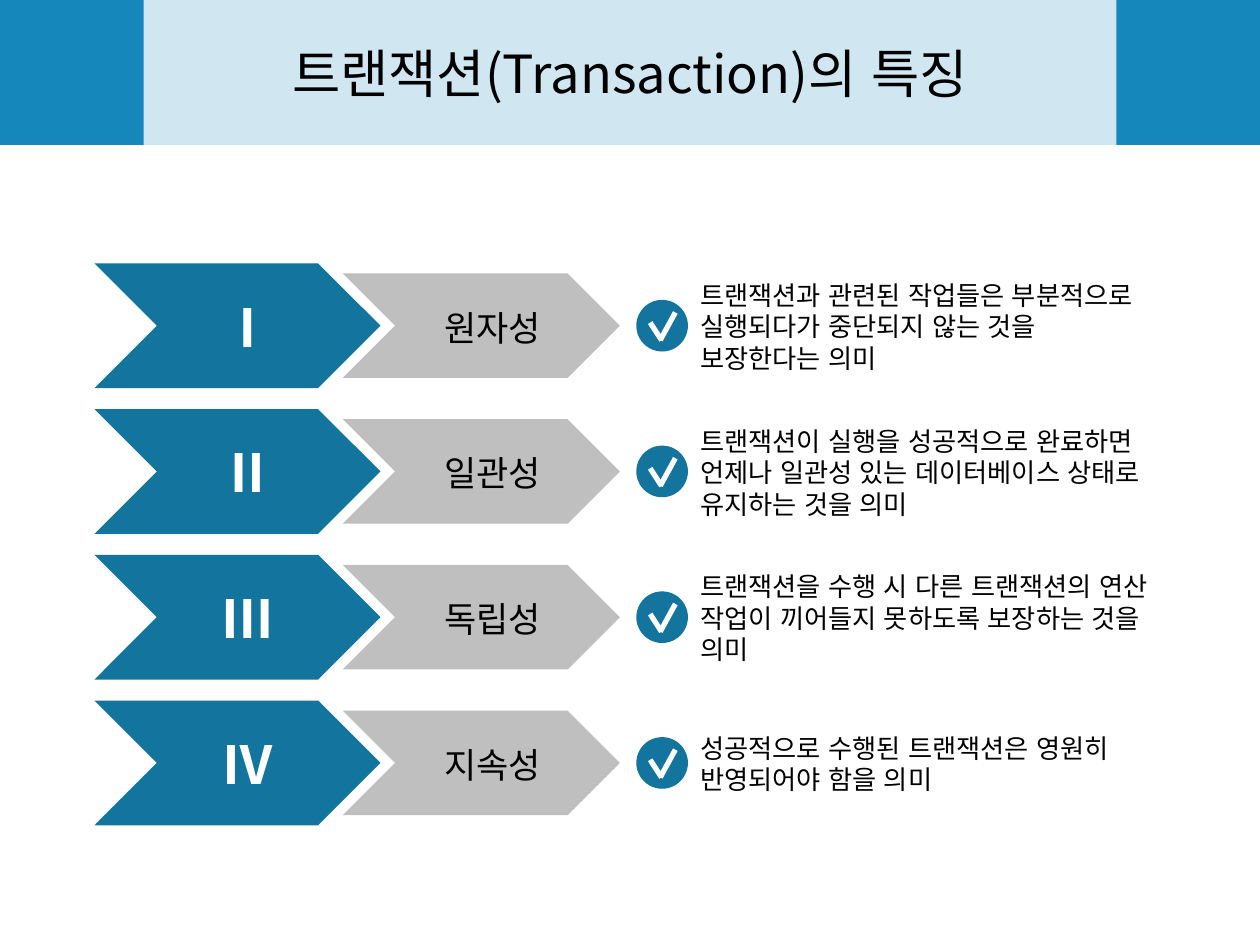
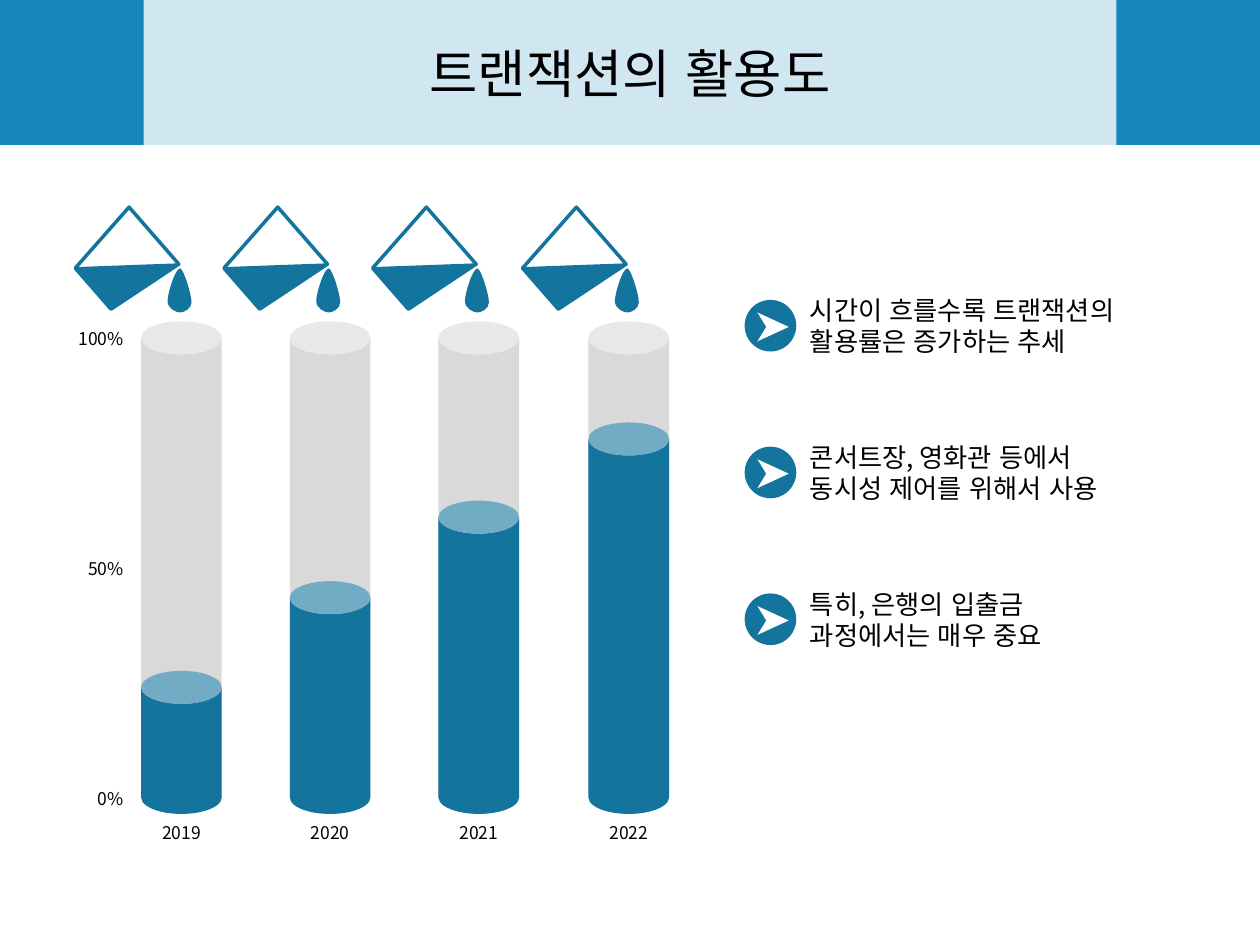
"""Builds two slides on the traits and the growing use of database transactions."""
from lxml import etree
from pptx import Presentation
from pptx.dml.color import RGBColor
from pptx.enum.lang import MSO_LANGUAGE_ID
from pptx.enum.shapes import MSO_CONNECTOR, MSO_SHAPE
from pptx.enum.text import MSO_ANCHOR, MSO_AUTO_SIZE, PP_ALIGN
from pptx.oxml.ns import qn
from pptx.util import Inches, Pt

RECT, OVAL, CAN = MSO_SHAPE.RECTANGLE, MSO_SHAPE.OVAL, MSO_SHAPE.CAN
CHEVRON, TRIANGLE, TRAPEZOID = MSO_SHAPE.CHEVRON, MSO_SHAPE.ISOSCELES_TRIANGLE, MSO_SHAPE.TRAPEZOID
STRAIGHT = MSO_CONNECTOR.STRAIGHT
LEFT, CENTER, RIGHT = PP_ALIGN.LEFT, PP_ALIGN.CENTER, PP_ALIGN.RIGHT
TOP, MIDDLE = MSO_ANCHOR.TOP, MSO_ANCHOR.MIDDLE
GROW = MSO_AUTO_SIZE.SHAPE_TO_FIT_TEXT
KOREAN = MSO_LANGUAGE_ID.KOREAN

FONT = "Noto Sans CJK KR"
BAND, TEAL, GREY, GLASS = "1687BA", "13749E", "BFBFBF", "D9D9D9"
WHITE, BLACK = "FFFFFF", "000000"

TRAITS_TITLE = "트랜잭션(Transaction)의 특징"
TRAITS = [
    ("Ⅰ", "원자성", "트랜잭션과 관련된 작업들은 부분적으로 실행되다가 중단되지 않는 것을 보장한다는 의미", 0.86),
    ("Ⅱ", "일관성", "트랜잭션이 실행을 성공적으로 완료하면 언제나 일관성 있는 데이터베이스 상태로 유지하는 것을 의미", 0.86),
    ("Ⅲ", "독립성", "트랜잭션을 수행 시 다른 트랜잭션의 연산 작업이 끼어들지 못하도록 보장하는 것을 의미", 0.86),
    ("Ⅳ", "지속성", "성공적으로 수행된 트랜잭션은 영원히 반영되어야 함을 의미", 0.61),
]
USAGE_TITLE = "트랜잭션의 활용도"
USAGE = [("2019", 24, 1.12), ("2020", 43.5, 2.3), ("2021", 61, 3.48), ("2022", 78, 4.67)]
SCALE = ["100%", "50%", "0%"]
NOTES = [
    "시간이 흐를수록 트랜잭션의 활용률은 증가하는 추세",
    "콘서트장, 영화관 등에서 동시성 제어를 위해서 사용",
    "특히, 은행의 입출금 과정에서는 매우 중요",
]

FIRST_ROW = 2.59
TUBE_W, TUBE_TOP, TUBE_BASE, TUBE_RIM, RIM_RATIO = 0.64, 2.55, 6.46, 0.26, 0.41
WATER = [(-0.52, 2.12), (-0.23, 2.45), (0.3, 2.09)]
DROP = [
    (0.31, 2.13),
    (0.27, 2.13), (0.21, 2.33), (0.21, 2.39),
    (0.21, 2.45), (0.28, 2.48), (0.31, 2.48),
    (0.34, 2.48), (0.4, 2.45), (0.4, 2.4),
    (0.4, 2.34), (0.34, 2.14), (0.31, 2.13),
]


def color(code):
    return RGBColor.from_string(code)


def spread(first, last, count):
    return [first + (last - first) * i / (count - 1) for i in range(count)]


def paint(shape, fill, line=None, width=0):
    shape.shadow.inherit = False
    shape.fill.solid()
    shape.fill.fore_color.rgb = color(fill)
    if line:
        shape.line.color.rgb = color(line)
        shape.line.width = Pt(width)
    else:
        shape.line.fill.background()
    return shape


def block(parent, kind, box, fill, line=None, width=0):
    return paint(parent.shapes.add_shape(kind, *map(Inches, box)), fill, line, width)


def write(shape, text, size, ink=BLACK, align=LEFT, anchor=MIDDLE, bold=False):
    frame = shape.text_frame
    frame.word_wrap = True
    frame.vertical_anchor = anchor
    paragraph = frame.paragraphs[0]
    paragraph.alignment = align
    run = paragraph.add_run()
    run.text = text
    run.font.size = Pt(size)
    run.font.bold = bold
    run.font.color.rgb = color(ink)
    run.font.name = FONT
    run.font.language_id = KOREAN
    etree.SubElement(run.font._element, qn("a:ea"), typeface=FONT)
    return frame


def label(slide, box, text, size, **style):
    frame = write(slide.shapes.add_textbox(*map(Inches, box)), text, size, **style)
    frame.auto_size = GROW
    return frame


def stroke(parent, start, end):
    line = parent.shapes.add_connector(STRAIGHT, *map(Inches, start + end))
    line.line.color.rgb = color(WHITE)
    line.line.width = Pt(3)
    etree.SubElement(line._element.spPr, qn("a:effectLst"))


def outline(parent, points, fill):
    corners = [(Inches(x), Inches(y)) for x, y in points]
    builder = parent.shapes.build_freeform(*corners[0])
    builder.add_line_segments(corners[1:], close=True)
    return paint(builder.convert_to_shape(), fill)


def bend(shape):
    segments = list(shape._element.iter(qn("a:lnTo")))
    for i in range(0, len(segments), 3):
        curve = etree.Element(qn("a:cubicBezTo"))
        segments[i].addprevious(curve)
        for segment in segments[i:i + 3]:
            curve.append(segment[0])
            segment.getparent().remove(segment)


def titled_slide(deck, title):
    slide = deck.slides.add_slide(deck.slide_layouts[6])
    block(slide, RECT, (0, 0, 10, 1.15), BAND)
    panel = block(slide, RECT, (1.14, 0, 7.72, 1.15), WHITE)
    tint = panel._element.spPr.find(".//" + qn("a:srgbClr"))
    etree.SubElement(tint, qn("a:alpha"), val="80000")
    write(panel, title, 30, align=CENTER)
    return slide


def badge(slide, left, middle):
    group = slide.shapes.add_group_shape()
    block(group, OVAL, (left, middle - 0.21, 0.41, 0.41), TEAL)
    return group


def tick(slide, left, middle):
    group = badge(slide, left, middle)
    stroke(group, (left + 0.11, middle - 0.03), (left + 0.2, middle + 0.11))
    stroke(group, (left + 0.31, middle - 0.11), (left + 0.19, middle + 0.11))


def pointer(slide, left, middle):
    group = badge(slide, left, middle)
    block(group, TRIANGLE, (left + 0.11, middle - 0.12, 0.23, 0.25), WHITE).rotation = 90
    block(group, TRIANGLE, (left + 0.02, middle - 0.03, 0.23, 0.07), TEAL).rotation = 90


def tube(slide, left, height, fill):
    can = block(slide, CAN, (left, TUBE_BASE - height, TUBE_W, height), fill)
    can.adjustments[0] = RIM_RATIO


def bucket(slide, left):
    group = slide.shapes.add_group_shape()
    pail = block(group, TRAPEZOID, (left - 0.44, 1.76, 0.6, 0.64), WHITE, TEAL, 2)
    pail.adjustments[0] = 0.14
    pail.rotation = 228.9
    outline(group, [(left + x, y) for x, y in WATER], TEAL)
    bend(outline(group, [(left + x, y) for x, y in DROP], TEAL))


def traits_slide(deck):
    slide = titled_slide(deck, TRAITS_TITLE)
    rows = spread(FIRST_ROW, 6.06, len(TRAITS))
    for (numeral, name, meaning, height), middle in zip(TRAITS, rows):
        block(slide, CHEVRON, (0.75, middle - 0.5, 2.27, 0.99), TEAL)
        label(slide, (5.46, middle - height / 2, 3.79, height), meaning, 15)
        block(slide, CHEVRON, (2.72, middle - 0.42, 2.2, 0.83), GREY)
        tick(slide, 5.05, middle)
        label(slide, (3.39, middle - 0.21, 1.04, 0.44), name, 20,
              align=CENTER, anchor=TOP).word_wrap = False
        label(slide, (1.61, middle - 0.3, 0.71, 0.61), numeral, 30,
              ink=WHITE, align=CENTER, anchor=TOP, bold=True)


def usage_slide(deck):
    slide = titled_slide(deck, USAGE_TITLE)
    full = TUBE_BASE - TUBE_TOP
    for year, percent, left in USAGE:
        tube(slide, left, full, GLASS)
        tube(slide, left, TUBE_RIM + (full - TUBE_RIM) * percent / 100, TEAL)
        bucket(slide, left)
        label(slide, (left, 6.47, TUBE_W, 0.27), year, 10, align=CENTER)
    for mark, top in zip(SCALE, spread(TUBE_TOP, 6.2, len(SCALE))):
        label(slide, (0.4, top, 0.68, 0.27), mark, 10, align=RIGHT)
    for note, middle in zip(NOTES, spread(FIRST_ROW, 4.92, len(NOTES))):
        label(slide, (6.33, middle - 0.31, 2.9, 0.61), note, 15)
        pointer(slide, 5.91, middle)


def main():
    deck = Presentation()
    deck.slide_width, deck.slide_height = Inches(10), Inches(7.5)
    traits_slide(deck)
    usage_slide(deck)
    deck.save("out.pptx")


if __name__ == "__main__":
    main()
